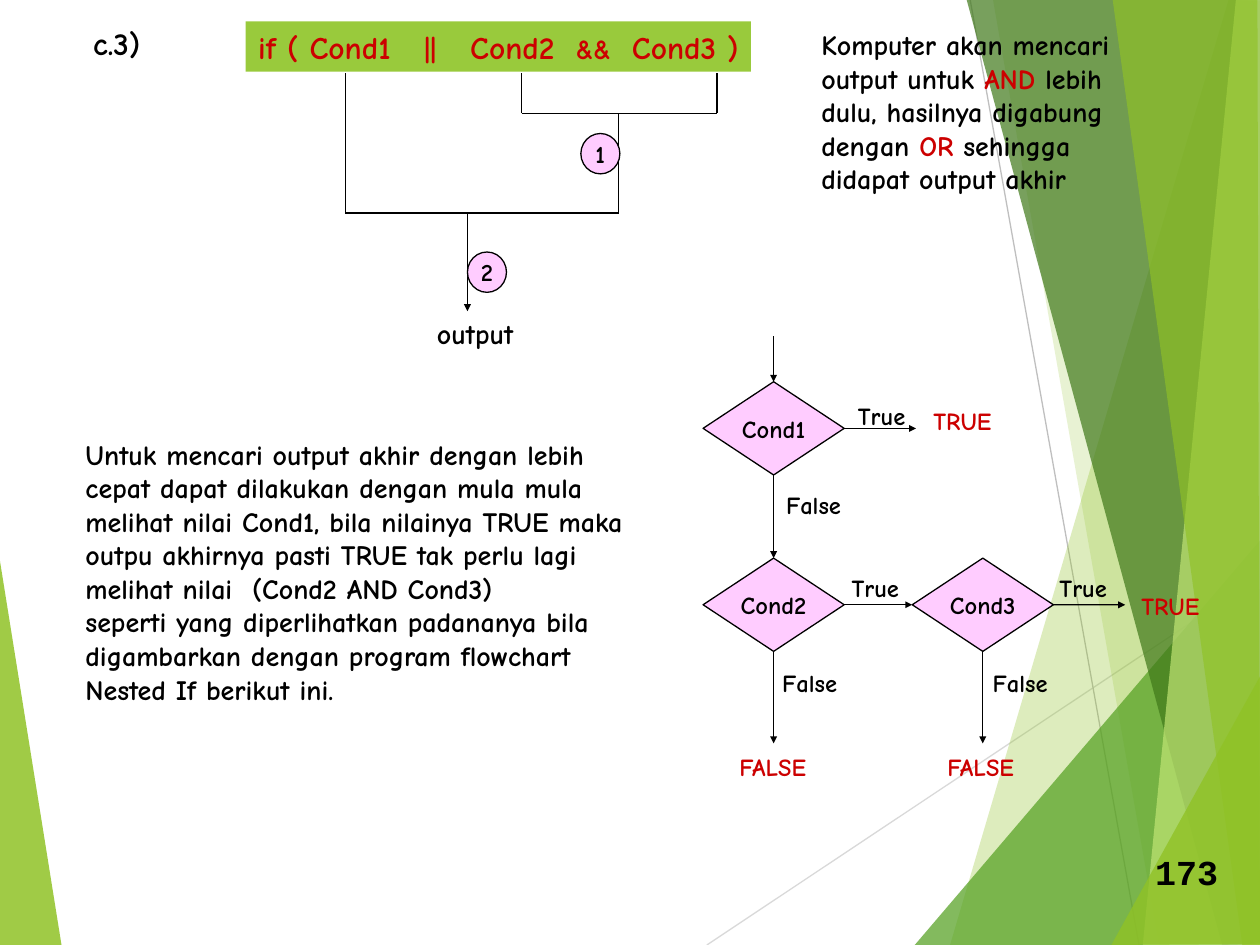
"""Build the slide on AND before OR with its nested-if flowchart."""
from dataclasses import dataclass
from typing import Any, NamedTuple

from lxml import etree
from pptx import Presentation
from pptx.dml.color import RGBColor
from pptx.enum.shapes import MSO_CONNECTOR, MSO_SHAPE
from pptx.enum.text import MSO_ANCHOR, MSO_AUTO_SIZE, PP_ALIGN
from pptx.oxml.ns import qn
from pptx.util import Inches, Pt

LINE = MSO_CONNECTOR.STRAIGHT
RECT, OVAL = MSO_SHAPE.RECTANGLE, MSO_SHAPE.OVAL
CHOICE = MSO_SHAPE.FLOWCHART_DECISION
TOP, LEFT, BOTTOM, RIGHT = range(4)
BLACK, RED, PINK, GREEN = "000000", "CC0000", "FFCCFF", "99CA3C"
LEAF = "90C226"
FONT = "Comic Neue"
SMALL, MID, BIG = 14, 16, 18
FLOW = {"word_wrap": True, "vertical_anchor": MSO_ANCHOR.TOP,
        "auto_size": MSO_AUTO_SIZE.SHAPE_TO_FIT_TEXT}
PLAIN = {**FLOW, "word_wrap": False, "margin_right": 0}
NODE = {"word_wrap": False, "vertical_anchor": MSO_ANCHOR.MIDDLE,
        "auto_size": MSO_AUTO_SIZE.NONE}


class Run(NamedTuple):
    text: str
    size: int = MID
    color: str = BLACK
    font: str = FONT


class Facet(NamedTuple):
    points: list[tuple[float, float]]
    color: str
    alpha: int


class Ray(NamedTuple):
    start: tuple[float, float]
    end: tuple[float, float]
    color: str


@dataclass
class Note:
    left: float
    top: float
    width: float
    height: float
    lines: list[list[Run]]
    frame: dict[str, Any]


FACETS = [
    Facet([(-0.01, 4.39), (0.49, 7.51), (-0.01, 7.5)], LEAF, 85),
    Facet([(9.75, 0), (7.54, 7.5), (10.02, 7.51), (10.01, 0.01)], LEAF, 30),
    Facet([(7.88, -0.01), (9.2, 7.5), (10.01, 7.5), (10.01, -0.01)], LEAF, 20),
    Facet([(7.26, 7.5), (10, 4.29), (10.01, 7.5)], "54A021", 72),
    Facet([(7.67, -0.01), (9.7, 7.5), (10.01, 7.49), (10.01, -0.01)], "3F7819", 70),
    Facet([(9.81, -0.01), (9.07, 7.5), (10.01, 7.5), (10, -0.01)], "C0E474", 70),
    Facet([(8.83, -0.01), (9.86, 7.5), (10, 7.5), (9.98, -0.01)], LEAF, 65),
    Facet([(8.82, 7.5), (10.01, 5.35), (10.01, 7.49)], LEAF, 80),
]
RAYS = [Ray((5.61, 7.5), (10.01, 4.57), "D9D9D9"),
        Ray((7.7, 0), (9.04, 7.5), "BFBFBF")]
TREE = [
    Ray((4.14, 0.58), (4.14, 0.9), BLACK),
    Ray((5.69, 0.58), (5.69, 0.9), BLACK),
    Ray((4.14, 0.9), (5.69, 0.9), BLACK),
    Ray((4.91, 0.9), (4.91, 1.69), BLACK),
    Ray((2.74, 0.58), (2.74, 1.69), BLACK),
    Ray((2.74, 1.69), (4.91, 1.69), BLACK),
]
CODE = [Run("if ( Cond1   ", BIG, RED), Run("||", MID, RED),
        Run("   Cond2 ", BIG, RED), Run(" && ", MID, RED),
        Run(" Cond3 )", BIG, RED)]
ORDER = [Run("Komputer akan mencari output untuk "), Run("AND", MID, RED),
         Run(" lebih dulu, hasilnya digabung dengan "), Run("OR", MID, RED),
         Run(" sehingga didapat output akhir")]
HINT = [
    [Run("Untuk mencari output akhir dengan lebih cepat dapat dilakukan dengan "
         "mula mula melihat nilai Cond1, bila nilainya TRUE maka outpu akhirnya "
         "pasti TRUE tak perlu lagi melihat nilai  (Cond2 AND Cond3)")],
    [Run("seperti yang diperlihatkan padananya bila digambarkan dengan program "
         "flowchart Nested If berikut ini.")],
]
NOTES = [
    Note(9.07, 6.7, 0.7, 0.44, [[Run("173", 20, BLACK, "Courier New")]], PLAIN),
    Note(0.64, 0.14, 0.57, 0.4, [[Run("c.3)", BIG)]], PLAIN),
    Note(3.37, 2.46, 0.8, 0.37, [[Run("output")]], PLAIN),
    Note(6.42, 0.17, 2.92, 1.44, [ORDER], FLOW),
    Note(0.58, 3.42, 4.58, 2.24, HINT, FLOW),
]
WIDTHS = {"True": 0.58, "False": 0.63, "TRUE": 0.66, "FALSE": 0.74}
LABELS = [
    ("True", 6.71, 3.13), ("True", 6.66, 4.5), ("True", 8.31, 4.5),
    ("False", 6.14, 3.84), ("False", 6.11, 5.25), ("False", 7.78, 5.25),
    ("TRUE", 7.31, 3.17), ("TRUE", 8.96, 4.64),
    ("FALSE", 5.77, 5.92), ("FALSE", 7.42, 5.92),
]


def tint(fill: Any, color: str) -> None:
    """Make a fill solid in a hex colour."""
    fill.solid()
    fill.fore_color.rgb = RGBColor.from_string(color)


def write(shape: Any, lines: list[list[Run]], frame: dict[str, Any], align: Any) -> None:
    """Fill a shape with paragraphs of runs."""
    body = shape.text_frame
    for name, value in frame.items():
        setattr(body, name, value)
    for index, line in enumerate(lines):
        para = body.add_paragraph() if index else body.paragraphs[0]
        para.alignment = align
        for item in line:
            run = para.add_run()
            run.text = item.text
            look = {"name": item.font, "size": Pt(item.size), "bold": True}
            for name, value in look.items():
                setattr(run.font, name, value)
            tint(run.font.fill, item.color)


def add_facet(shapes: Any, facet: Facet) -> None:
    """Draw one see-through polygon of the backdrop."""
    first, *rest = [(Inches(x), Inches(y)) for x, y in facet.points]
    pen = shapes.build_freeform(*first)
    pen.add_line_segments(rest, close=True)
    shape = pen.convert_to_shape()
    shape.shadow.inherit = False
    shape.line.fill.background()
    tint(shape.fill, facet.color)
    shade = shape.fill._xPr.find(".//" + qn("a:srgbClr"))
    etree.SubElement(shade, qn("a:alpha"), val=str(facet.alpha * 1000))


def add_ray(shapes: Any, ray: Ray, arrow: bool = False) -> Any:
    """Draw a thin line, with an arrowhead if asked."""
    link = shapes.add_connector(LINE, *map(Inches, ray.start + ray.end))
    tint(link.line.fill, ray.color)
    link.line.width = Pt(0.75)
    if arrow:
        etree.SubElement(link.line._get_or_add_ln(), qn("a:tailEnd"),
                         type="triangle", w="sm", len="sm")
    etree.SubElement(link._element.spPr, qn("a:effectLst"))
    return link


def add_note(shapes: Any, note: Note) -> None:
    """Draw a text box."""
    box = shapes.add_textbox(*map(Inches, (note.left, note.top, note.width, note.height)))
    write(box, note.lines, note.frame, PP_ALIGN.LEFT)


def add_node(shapes: Any, kind: Any, text: str, box: tuple[float, ...]) -> Any:
    """Draw a pink outlined shape with centred text."""
    node = shapes.add_shape(kind, *map(Inches, box))
    node.shadow.inherit = False
    tint(node.fill, PINK)
    tint(node.line.fill, BLACK)
    node.line.width = Pt(0.75)
    write(node, [[Run(text, SMALL)]], NODE, PP_ALIGN.CENTER)
    return node


def add_flow(shapes: Any) -> None:
    """Draw the nested-if flowchart."""
    one, two, three = [
        add_node(shapes, CHOICE, text, (left, top, 1.12, 0.74))
        for text, left, top in [("Cond1", 5.58, 3.03), ("Cond2", 5.58, 4.43),
                                ("Cond3", 7.24, 4.43)]]
    steps = [
        (None, one, (6.14, 2.67), (6.14, 3.03), BOTTOM, TOP),
        (one, None, (6.7, 3.4), (7.27, 3.4), RIGHT, LEFT),
        (one, two, (6.14, 3.77), (6.14, 4.43), BOTTOM, TOP),
        (two, three, (6.7, 4.8), (7.24, 4.8), RIGHT, LEFT),
        (two, None, (6.14, 5.17), (6.14, 5.9), BOTTOM, TOP),
        (three, None, (8.36, 4.8), (8.93, 4.8), RIGHT, LEFT),
        (three, None, (7.8, 5.17), (7.8, 5.9), BOTTOM, TOP),
    ]
    for source, target, start, end, out, into in steps:
        link = add_ray(shapes, Ray(start, end, BLACK), arrow=True)
        if source:
            link.begin_connect(source, out)
        if target:
            link.end_connect(target, into)
    for text, left, top in LABELS:
        color = RED if text.isupper() else BLACK
        add_note(shapes, Note(left, top, WIDTHS[text], 0.34,
                              [[Run(text, SMALL, color)]], PLAIN))


def main() -> None:
    """Build and save the deck."""
    deck = Presentation()
    deck.slide_width, deck.slide_height = Inches(10), Inches(7.5)
    shapes = deck.slides.add_slide(deck.slide_layouts[6]).shapes
    add_facet(shapes, FACETS[0])
    for ray in RAYS:
        add_ray(shapes, ray)
    for facet in FACETS[1:]:
        add_facet(shapes, facet)
    add_flow(shapes)
    bar = shapes.add_shape(RECT, *map(Inches, (1.95, 0.17, 4.01, 0.4)))
    bar.shadow.inherit = False
    bar.line.fill.background()
    tint(bar.fill, GREEN)
    write(bar, [CODE], PLAIN, PP_ALIGN.LEFT)
    for ray in TREE:
        add_ray(shapes, ray)
    add_ray(shapes, Ray((3.71, 1.69), (3.71, 2.47), BLACK), arrow=True)
    for text, left, top in [("2", 3.71, 2), ("1", 4.61, 1.06)]:
        add_node(shapes, OVAL, text, (left, top, 0.31, 0.32))
    for note in NOTES:
        add_note(shapes, note)
    deck.save("out.pptx")


if __name__ == "__main__":
    main()
